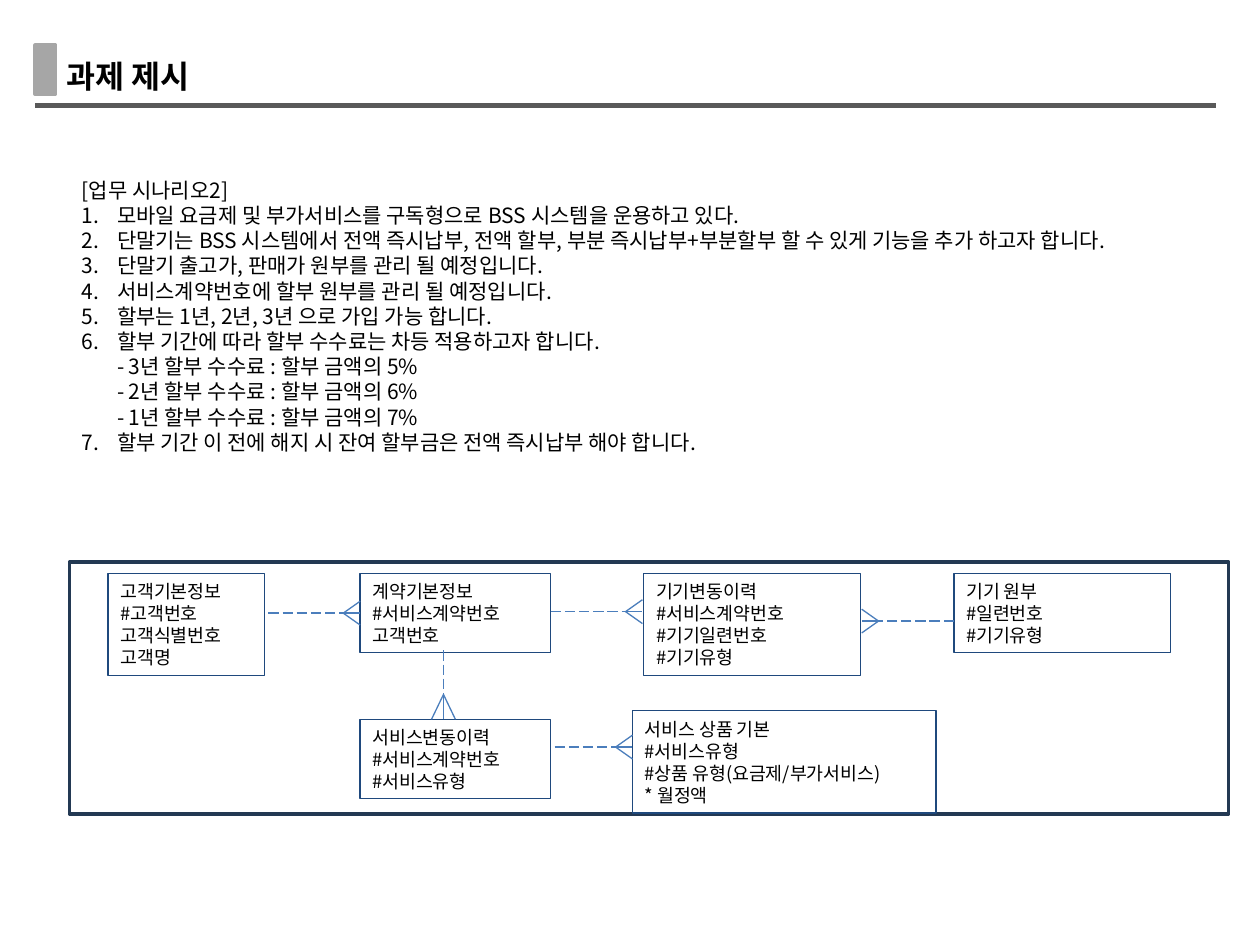
from copy import deepcopy
from math import hypot

from lxml.etree import SubElement as Sub
from pptx import Presentation
from pptx.dml.color import RGBColor as Rgb
from pptx.enum.dml import MSO_LINE_DASH_STYLE as Dash
from pptx.enum.shapes import MSO_CONNECTOR_TYPE as Conn, MSO_SHAPE as Kind
from pptx.enum.text import MSO_ANCHOR as Anchor, MSO_AUTO_SIZE as Auto, PP_ALIGN as Align
from pptx.oxml.ns import qn
from pptx.util import Cm, Pt

FONT = "Noto Sans CJK KR"
COLORS = {
    "text": "000000", "rule": "595959", "mark": "A6A6A6",
    "frame": "233953", "box": "1F497D", "link": "4B7EBC",
}


class Page:
    def __init__(self, deck):
        self.slide = deck.slides.add_slide(deck.slide_layouts[5])
        self.shapes = self.slide.shapes

    def color(self, name):
        return Rgb.from_string(COLORS[name])

    def style(self, frame, size, bold=False, anchor=Anchor.TOP):
        frame.word_wrap = True
        frame.auto_size = Auto.NONE
        frame.vertical_anchor = anchor
        for para in frame.paragraphs:
            para.alignment = Align.LEFT
            para.line_spacing = Pt(size * 1.2)
            para.space_before = Pt(0)
            for run in para.runs:
                font = run.font
                font.size, font.bold, font.name = Pt(size), bold, FONT
                font.color.rgb = self.color("text")
                Sub(font._element, qn("a:ea")).set("typeface", FONT)
            # Line breaks keep the size of the text around them
            for gap in para._p.findall(qn("a:br")):
                gap.append(deepcopy(para.runs[0].font._element))

    def title(self, text, x, y, w, h):
        shape = self.shapes.title
        shape.left, shape.top, shape.width, shape.height = map(Cm, (x, y, w, h))
        shape.text_frame.text = text
        self.style(shape.text_frame, 18, True, Anchor.MIDDLE)

    def list(self, head, items, x, y, w, h):
        frame = self.shapes.add_textbox(*map(Cm, (x, y, w, h))).text_frame
        frame.text = head
        for item in items:
            frame.add_paragraph().text = item
        self.style(frame, 12)
        for para in frame.paragraphs[1:]:
            props = para._p.get_or_add_pPr()
            props.set("marL", str(Cm(0.71)))
            props.set("indent", str(-Cm(0.71)))
            Sub(props, qn("a:buFont")).set("typeface", FONT)
            Sub(props, qn("a:buAutoNum")).set("type", "arabicPeriod")

    def rect(self, x, y, w, h, line, width, fill=None):
        shape = self.shapes.add_shape(Kind.RECTANGLE, *map(Cm, (x, y, w, h)))
        shape.shadow.inherit = False
        if fill:
            shape.fill.solid()
            shape.fill.fore_color.rgb = self.color(fill)
        else:
            shape.fill.background()
        shape.line.color.rgb = self.color(line)
        shape.line.width = Pt(width)
        return shape

    def entity(self, x, y, w, rows):
        shape = self.rect(x, y, w, 0.22 + 0.46 * len(rows), "box", 0.75)
        shape.text_frame.text = "\n".join(rows)
        self.style(shape.text_frame, 10.5, anchor=Anchor.MIDDLE)

    def line(self, start, end, color, width, dash=None, home=None):
        ends = map(Cm, (*start, *end))
        line = (home or self.shapes).add_connector(Conn.STRAIGHT, *ends)
        line.line.color.rgb = self.color(color)
        line.line.width = Pt(width)
        if dash:
            line.line.dash_style = dash
        Sub(line._element.spPr, qn("a:effectLst"))

    def link(self, start, end, depth=0.34, half=0.24):
        """Dashed relation that ends in a crow's foot."""
        (x1, y1), (x2, y2) = start, end
        size = hypot(x2 - x1, y2 - y1)
        ux, uy = (x2 - x1) / size, (y2 - y1) / size
        home = self.shapes.add_group_shape().shapes
        neck = (x2 - ux * depth * 0.86, y2 - uy * depth * 0.86)
        tip = (x2 - ux * depth, y2 - uy * depth)
        self.line(start, neck, "link", 0.75, Dash.LONG_DASH, home)
        self.line(neck, end, "link", 0.75, home=home)
        for side in (half, -half):
            toe = (x2 - uy * side, y2 + ux * side)
            self.line(tip, toe, "link", 0.75, home=home)


def main():
    deck = Presentation()
    deck.slide_width, deck.slide_height = Cm(25.4), Cm(19.05)
    page = Page(deck)

    # Heading
    page.title("과제 제시", 1.09, 1.02, 3.3, 1.02)
    page.line((0.71, 2.13), (24.51, 2.13), "rule", 3)
    page.rect(0.71, 0.91, 0.41, 0.99, "mark", 2, "mark")

    # Scenario
    fees = [f"- {year}년 할부 수수료 : 할부 금액의 {rate}%"
            for year, rate in ((3, 5), (2, 6), (1, 7))]
    page.list("[업무 시나리오2]", [
        "모바일 요금제 및 부가서비스를 구독형으로 BSS 시스템을 운용하고 있다.",
        "단말기는 BSS 시스템에서 전액 즉시납부, 전액 할부, 부분 즉시납부+부분할부 "
        "할 수 있게 기능을 추가 하고자 합니다.",
        "단말기 출고가, 판매가 원부를 관리 될 예정입니다.",
        "서비스계약번호에 할부 원부를 관리 될 예정입니다.",
        "할부는 1년, 2년, 3년 으로 가입 가능 합니다.",
        "\v".join(["할부 기간에 따라 할부 수수료는 차등 적용하고자 합니다.", *fees]),
        "할부 기간 이 전에 해지 시 잔여 할부금은 전액 즉시납부 해야 합니다.",
    ], 1.4, 3.45, 23.14, 6.4)

    # Entities
    page.rect(1.4, 11.33, 23.37, 5.08, "frame", 2)
    top = 11.56
    for x, y, w, rows in (
        (2.18, top, 3.15, ["고객기본정보", "#고객번호", "고객식별번호", "고객명"]),
        (7.26, top, 3.84, ["계약기본정보", "#서비스계약번호", "고객번호"]),
        (12.98, top, 4.37, ["기기변동이력", "#서비스계약번호", "#기기일련번호", "#기기유형"]),
        (19.23, top, 4.37, ["기기 원부", "#일련번호", "#기기유형"]),
        (7.26, 14.5, 3.84, ["서비스변동이력", "#서비스계약번호", "#서비스유형"]),
        (12.75, 14.33, 6.12, ["서비스 상품 기본", "#서비스유형",
                              "#상품 유형(요금제/부가서비스)", "* 월정액"]),
    ):
        page.entity(x, y, w, rows)

    # Relations
    page.link((5.41, 12.36), (7.26, 12.36))
    page.link((11.1, 12.33), (12.95, 12.33))
    page.link((19.23, 12.52), (17.37, 12.52))
    page.link((11.18, 15.06), (12.75, 15.06))
    page.link((8.94, 13.11), (8.94, 14.5), depth=0.5)

    deck.save("out.pptx")


if __name__ == "__main__":
    main()
